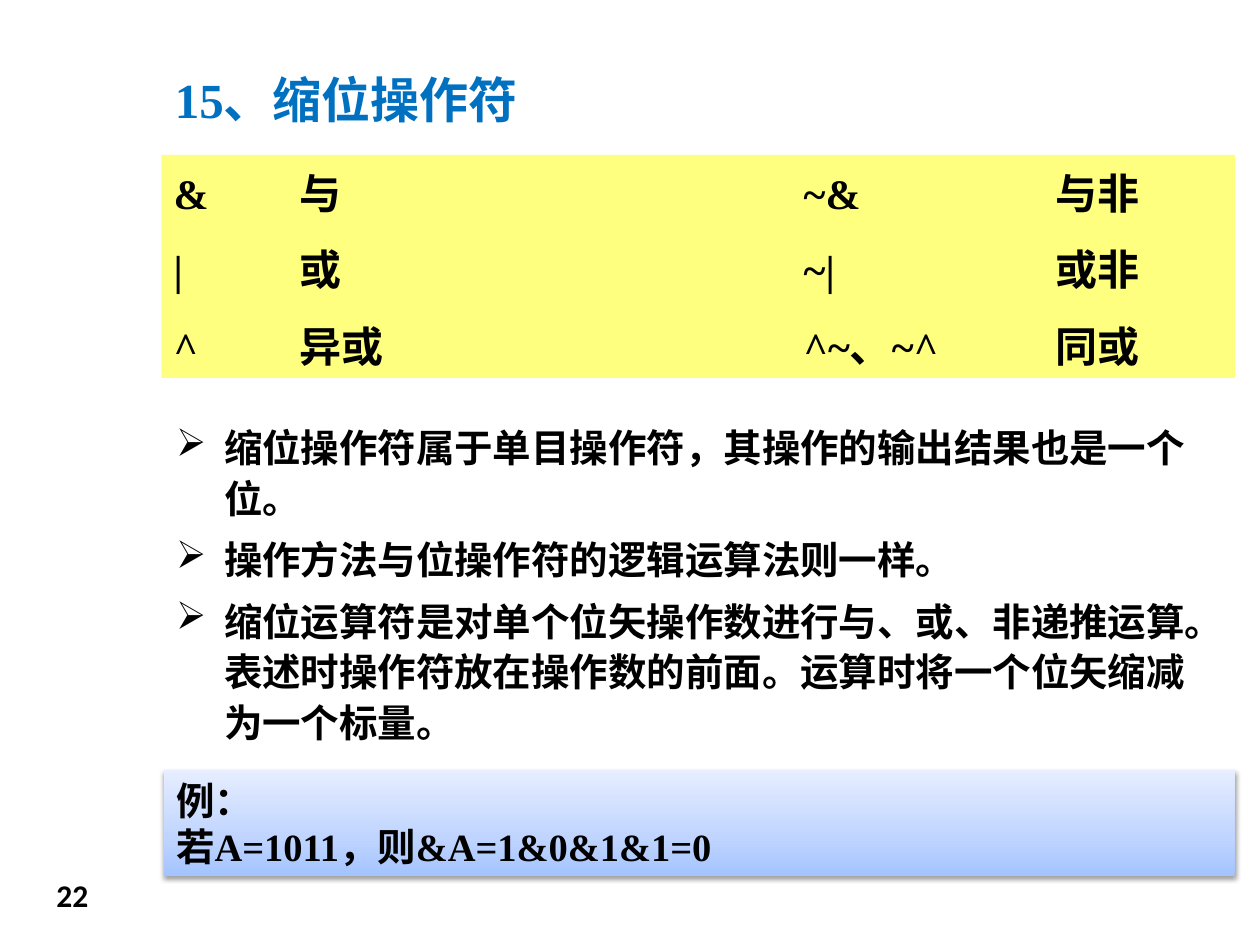
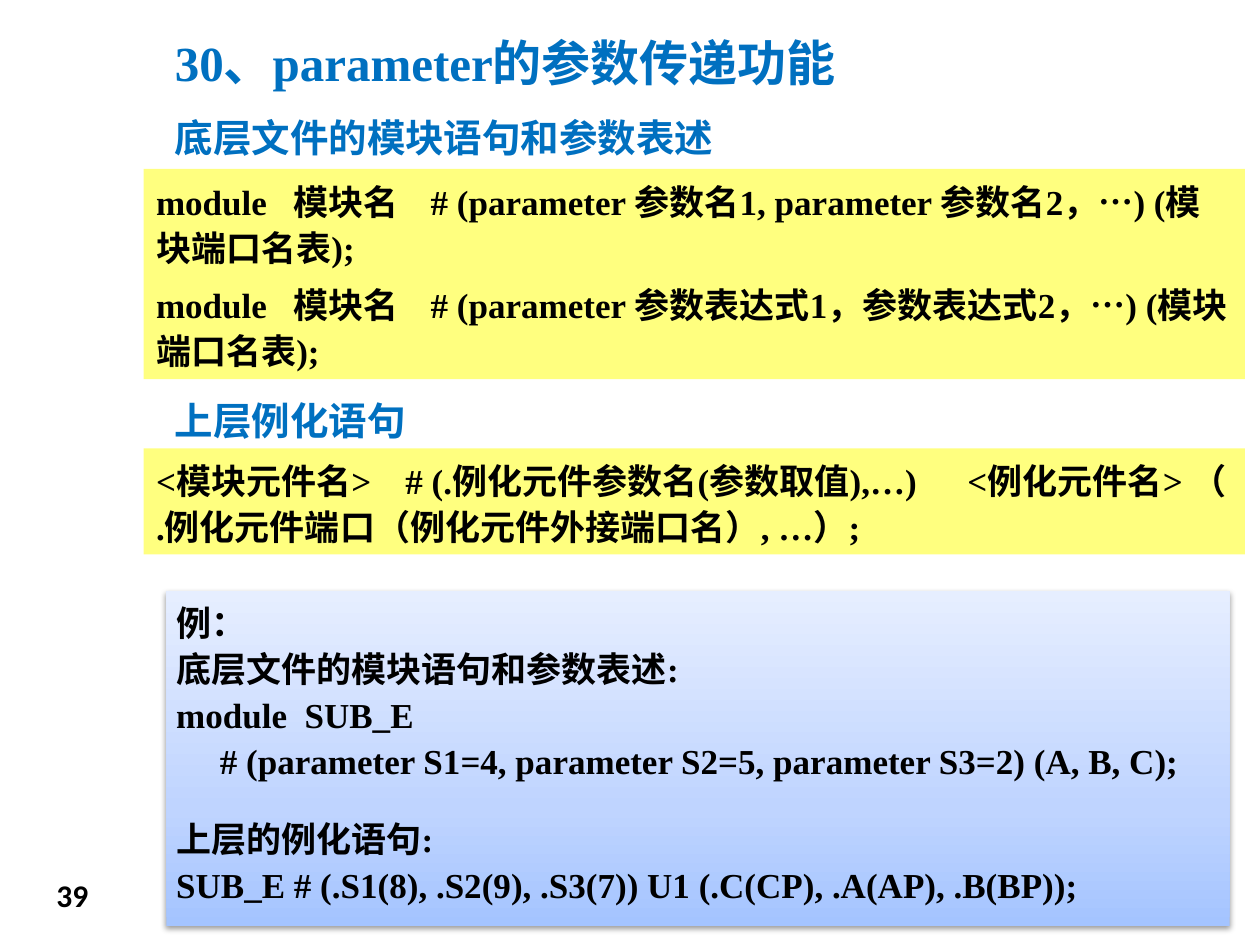
from pptx import Presentation
from pptx.dml.color import RGBColor
from pptx.enum.lang import MSO_LANGUAGE_ID
from pptx.enum.shapes import MSO_SHAPE
from pptx.enum.text import MSO_ANCHOR, PP_ALIGN
from pptx.oxml import parse_xml
from pptx.oxml.ns import nsdecls, qn
from pptx.util import Inches, Pt

RECT = MSO_SHAPE.RECTANGLE
TOP, MIDDLE = MSO_ANCHOR.TOP, MSO_ANCHOR.MIDDLE
LEFT = PP_ALIGN.LEFT
CHINESE = MSO_LANGUAGE_ID.SIMPLIFIED_CHINESE

BLUE, BLACK, YELLOW = "0070C0", "000000", "FFFF00"
PANEL_STOPS = [(0, "A4C4FF"), (35, "BFD4FF"), (100, "E6EEFF")]
SERIF, SANS = "Times New Roman", "Calibri"
HEAD_LEFT, HEAD_WIDTH = 1.29, 8.36


def rgb(value):
    return RGBColor.from_string(value)


def xml(text):
    return parse_xml(text.replace(" ", f" {nsdecls('a')} ", 1))


class Deck:
    def __init__(self):
        self.prs = Presentation()
        self.prs.slide_width, self.prs.slide_height = Inches(10), Inches(7.5)
        self.s = None

    def slide(self, number, title, title_top):
        self.s = self.prs.slides.add_slide(self.prs.slide_layouts[6])
        self.heading(title, title_top, 0.57, 28)
        self.text((0.35, 6.9, 0.63, 0.45), [number], 18, font=SANS)

    def heading(self, text, top, height=0.47, size=22):
        self.text((HEAD_LEFT, top, HEAD_WIDTH, height), [text], size,
                  color=BLUE, anchor=MIDDLE)

    def text(self, box, lines, size, **style):
        sp = self.s.shapes.add_textbox(*map(Inches, box))
        self.put_lines(sp, lines, size, **style)

    def band(self, box, lines, size, **style):
        sp = self.rect(box)
        sp.fill.solid()
        sp.fill.fore_color.rgb = rgb(YELLOW)
        color = sp._element.spPr.find(qn("a:solidFill"))[0]
        color.append(xml('<a:alpha val="50000"/>'))
        self.put_lines(sp, lines, size, spacing=1.1, anchor=MIDDLE, **style)

    def panel(self, box, lines=(), size=22):
        sp = self.rect(box)
        sp.fill.background()
        pr = sp._element.spPr
        stops = "".join(f'<a:gs pos="{pos * 1000}"><a:srgbClr val="{c}"/></a:gs>'
                        for pos, c in PANEL_STOPS)
        pr.replace(pr.find(qn("a:noFill")), xml(
            f'<a:gradFill rotWithShape="1"><a:gsLst>{stops}</a:gsLst>'
            '<a:lin ang="16200000" scaled="0"/></a:gradFill>'))
        pr.find(qn("a:effectLst")).append(xml(
            f'<a:outerShdw blurRad="{Pt(3.1)}" dist="{Pt(1.6)}" dir="5400000" '
            f'rotWithShape="0"><a:srgbClr val="{BLACK}"><a:alpha val="38000"/>'
            '</a:srgbClr></a:outerShdw>'))
        if lines:
            self.put_lines(sp, lines, size, anchor=MIDDLE)

    def rect(self, box):
        sp = self.s.shapes.add_shape(RECT, *map(Inches, box))
        sp.shadow.inherit = False
        sp.line.fill.background()
        return sp

    def put_lines(self, sp, lines, size, color=BLACK, font=SERIF, anchor=TOP,
                  spacing=1.0, after=0, tabs=(), bullet=None, gaps=None):
        tf = sp.text_frame
        tf.word_wrap = True
        tf.vertical_anchor = anchor
        for i, line in enumerate(lines):
            p = tf.add_paragraph() if i else tf.paragraphs[0]
            p.alignment = LEFT
            p.line_spacing = spacing
            p.space_after = Pt((gaps or {}).get(i, after))
            pr = p._p.get_or_add_pPr()
            if bullet:
                pr.set("marL", str(Inches(0.38)))
                pr.set("indent", str(-Inches(0.38)))
                pr.append(xml(f'<a:buClr ><a:srgbClr val="{BLACK}"/></a:buClr>'))
                pr.append(xml(f'<a:buChar char="{bullet}"/>'))
            if tabs:
                stops = "".join(f'<a:tab pos="{Inches(t)}" algn="l"/>' for t in tabs)
                pr.append(xml(f"<a:tabLst >{stops}</a:tabLst>"))
            r = p.add_run()
            r.text = line
            r.font.name, r.font.size, r.font.bold = font, Pt(size), True
            r.font.color.rgb = rgb(color)
            r.font.language_id = CHINESE


def reduction_operators(deck):
    deck.slide("22", "15、缩位操作符", 0.5)
    deck.band((1.28, 1.23, 8.52, 1.77), [
        "&\t与\t~&\t与非",
        "|\t或\t~|\t或非",
        "^\t异或\t^~、~^\t同或",
    ], 24, after=12, tabs=(1, 5, 7))
    deck.text((1.3, 3.28, 8.44, 2.71), [
        "缩位操作符属于单目操作符，其操作的输出结果也是一个位。",
        "操作方法与位操作符的逻辑运算法则一样。",
        "缩位运算符是对单个位矢操作数进行与、或、非递推运算。"
        "表述时操作符放在操作数的前面。运算时将一个位矢缩减为一个标量。",
    ], 22, spacing=1.1, after=6, bullet="➢")
    deck.panel((1.3, 6.11, 8.5, 0.84), ["例：", "若A=1011，则&A=1&0&1&1=0"])


def parameter_passing(deck):
    deck.slide("39", "30、parameter的参数传递功能", 0.21)
    deck.heading("底层文件的模块语句和参数表述", 0.85)
    deck.band((1.14, 1.34, 8.74, 1.67), [
        f"module\t模块名\t# (parameter {names}，…) (模块端口名表);"
        for names in ("参数名1, parameter 参数名2", "参数表达式1，参数表达式2")
    ], 20, after=6, tabs=(1.09, 2.18))
    deck.heading("上层例化语句", 3.1)
    deck.band((1.14, 3.56, 8.74, 0.84), [
        "<模块元件名>\t# (.例化元件参数名(参数取值),…)\t<例化元件名> "
        "（ .例化元件端口（例化元件外接端口名）, …）;",
    ], 20, after=6, tabs=(1.98, 6.44))
    deck.panel((1.32, 4.69, 8.44, 2.66))
    deck.text((1.3, 4.69, 8.44, 2.57), [
        "例：",
        "底层文件的模块语句和参数表述:",
        "module  SUB_E",
        "     # (parameter S1=4, parameter S2=5, parameter S3=2) (A, B, C);",
        "上层的例化语句:",
        "SUB_E # (.S1(8), .S2(9), .S3(7)) U1 (.C(CP), .A(AP), .B(BP));",
    ], 20, spacing=1.1, gaps={3: 18})


def main():
    deck = Deck()
    reduction_operators(deck)
    parameter_passing(deck)
    deck.prs.save("out.pptx")


if __name__ == "__main__":
    main()
